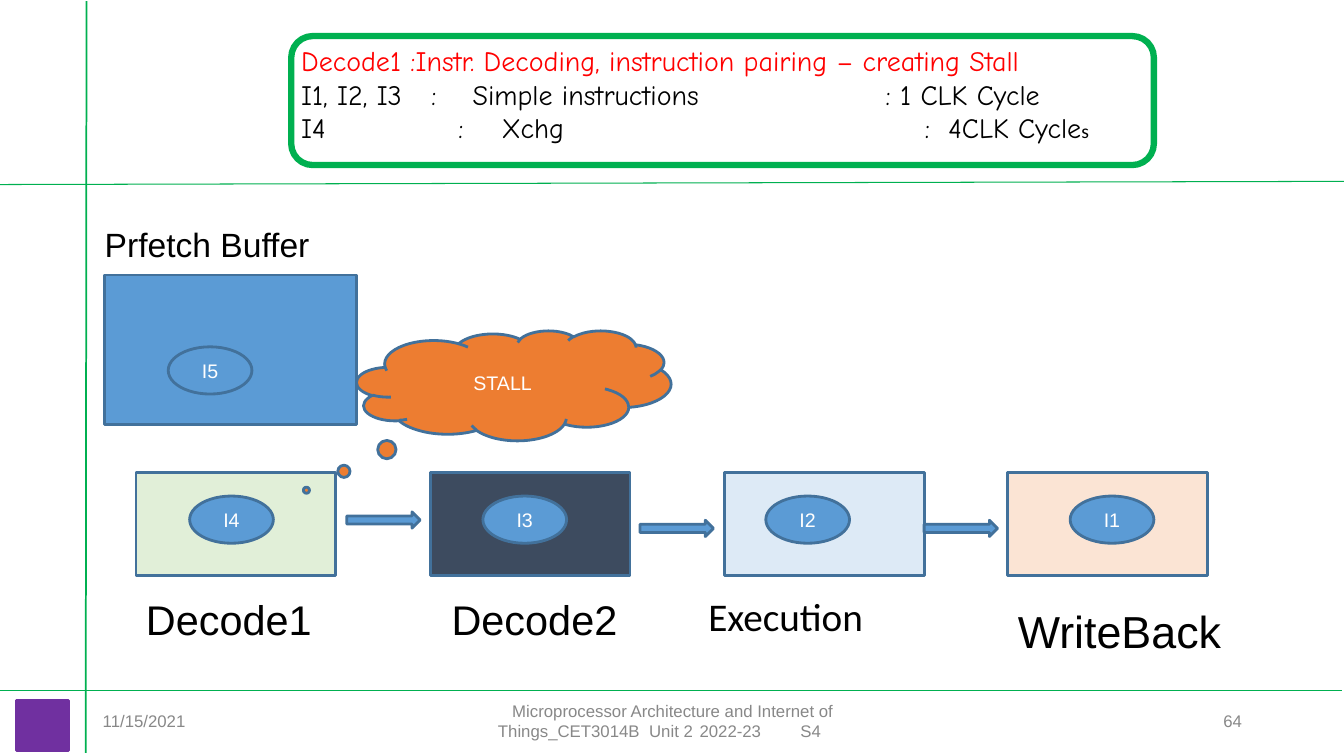
from lxml import etree
from pptx import Presentation
from pptx.dml.color import RGBColor
from pptx.enum.shapes import MSO_CONNECTOR, MSO_SHAPE as SHAPE
from pptx.enum.text import MSO_ANCHOR as ANCHOR, PP_ALIGN as ALIGN
from pptx.oxml.ns import qn
from pptx.util import Cm, Pt

BLUE, EDGE, GREEN, PURPLE = "5B9BD5", "42719B", "00B050", "7030A0"
ORANGE, RED, BLACK, WHITE, GREY = "ED7D31", "FF0000", "000000", "FFFFFF", "888888"


def color(hex_code):
    return RGBColor.from_string(hex_code)


class Deck:
    """Holds the text style and the current slide."""

    def __init__(self, prs, font="Arial"):
        self.font = font
        self.slide = prs.slides.add_slide(prs.slide_layouts[6])

    def run(self, p, text, size, ink=BLACK, font=None):
        r = p.add_run()
        r.text = text
        r.font.size = Pt(size)
        r.font.name = font or self.font
        r.font.color.rgb = color(ink)

    def tabs(self, p, stops):
        tab_list = etree.SubElement(p._p.get_or_add_pPr(), qn("a:tabLst"))
        for stop in stops:
            etree.SubElement(tab_list, qn("a:tab"), pos=str(Cm(stop)), algn="l")

    def shape(self, kind, x, y, w, h, fill=BLUE, edge=EDGE, weight=2, text=None):
        sp = self.slide.shapes.add_shape(kind, Cm(x), Cm(y), Cm(w), Cm(h))
        sp.shadow.inherit = False
        if fill:
            sp.fill.solid()
            sp.fill.fore_color.rgb = color(fill)
        else:
            sp.fill.background()
        sp.line.color.rgb = color(edge)
        sp.line.width = Pt(weight)
        if text:
            tf = sp.text_frame
            tf.vertical_anchor = ANCHOR.MIDDLE
            tf.paragraphs[0].alignment = ALIGN.CENTER
            self.run(tf.paragraphs[0], text, 14, WHITE)
        return sp

    def instruction(self, name, x, y):
        self.shape(SHAPE.OVAL, x, y, 2.11, 1.19, text=name)

    def box(self, x, y, w, h, anchor=ANCHOR.TOP):
        tf = self.slide.shapes.add_textbox(Cm(x), Cm(y), Cm(w), Cm(h)).text_frame
        tf.word_wrap = True
        tf.vertical_anchor = anchor
        return tf

    def label(self, text, x, y, w, h, size, ink=BLACK, font=None,
              anchor=ANCHOR.TOP, align=ALIGN.LEFT, spacing=None):
        p = self.box(x, y, w, h, anchor).paragraphs[0]
        p.alignment = align
        if spacing:
            p.line_spacing = spacing
        self.run(p, text, size, ink, font)

    def line(self, x1, y1, x2, y2, weight):
        ln = self.slide.shapes.add_connector(
            MSO_CONNECTOR.STRAIGHT, Cm(x1), Cm(y1), Cm(x2), Cm(y2))
        ln.line.color.rgb = color(GREEN)
        ln.line.width = Pt(weight)
        etree.SubElement(ln._element.spPr, qn("a:effectLst"))


def main():
    prs = Presentation()
    prs.slide_width, prs.slide_height = Cm(33.87), Cm(19.05)
    deck = Deck(prs)

    # Pipeline stages with the instruction each one holds
    stages = [(3.43, "E1EFD8", "I4", 4.78), (10.85, "3D4B5F", "I3", 12.17),
              (18.26, "DDEAF6", "I2", 19.3), (25.4, "FBE4D4", "I1", 26.97)]
    for x, fill, name, oval_x in stages:
        deck.shape(SHAPE.RECTANGLE, x, 11.91, 5.03, 2.59, fill)
        deck.instruction(name, oval_x, 12.5)
    for x, y in [(8.74, 12.9), (16.13, 13.11), (23.29, 13.11)]:
        deck.shape(SHAPE.RIGHT_ARROW, x, y, 1.85, 0.41)

    # Stage names
    for text, x in [("Decode1", 3.43), ("Decode2", 11.13)]:
        deck.label(text, x, 15.09, 5.28, 1.4, 29.6, spacing=0.8)
    deck.label("Execution", 17.6, 14.81, 4.47, 1.45, 28, font="Calibri")
    deck.label("WriteBack", 25.4, 15.09, 6.1, 1.98, 32)

    # Prefetch buffer and stall
    deck.label("Prfetch Buffer", 2.39, 4.95, 8.46, 2.39, 24, anchor=ANCHOR.MIDDLE)
    deck.shape(SHAPE.RECTANGLE, 2.64, 6.93, 6.35, 3.76)
    deck.instruction("I5", 4.24, 8.74)
    cloud = deck.shape(SHAPE.CLOUD_CALLOUT, 8.99, 8.33, 7.92, 2.77, ORANGE, text="STALL")
    cloud.adjustments[0], cloud.adjustments[1] = -0.66, 0.953

    # Heading
    tf = deck.box(7.34, 0.97, 25.15, 2.82)
    heading = [
        ("Decode1 :Instr. Decoding, instruction pairing – creating Stall", RED, []),
        ("I1, I2, I3\t:\tSimple instructions\t: 1 CLK Cycle", BLACK, [3.28, 4.32, 14.73]),
        ("I4\t:\tXchg\t:\t4CLK Cycle", BLACK, [3.96, 5.05, 15.72, 16.31]),
    ]
    for i, (text, ink, stops) in enumerate(heading):
        p = tf.add_paragraph() if i else tf.paragraphs[0]
        if stops:
            deck.tabs(p, stops)
        deck.run(p, text, 20, ink, "Comic Neue")
    deck.run(p, "s", 14, font="Calibri")

    # Footer
    footer = dict(size=12, ink=GREY, anchor=ANCHOR.MIDDLE)
    deck.label("11/15/2021", 2.34, 17.65, 7.62, 1.02, **footer)
    deck.label("64", 23.93, 17.65, 7.62, 1.02, align=ALIGN.RIGHT, **footer)
    tf = deck.box(11.23, 17.65, 11.43, 1.02, ANCHOR.MIDDLE)
    tf.margin_left = Cm(1.32)
    p = tf.paragraphs[0]
    p._p.get_or_add_pPr().set("indent", str(Cm(0.36)))
    deck.tabs(p, [4.06, 5.84, 8.0])
    deck.run(p, "Microprocessor Architecture and Internet of "
                "Things_CET3014B\tUnit 2\t2022-23\tS4", 12, GREY)

    # Slide frame
    deck.line(0, 4.65, 33.87, 4.57, 0.75)
    deck.shape(SHAPE.RECTANGLE, 0.41, 17.65, 1.32, 1.27, PURPLE, PURPLE)
    deck.line(2.18, 0.03, 2.16, 18.97, 1.25)
    deck.line(0, 17.4, 33.83, 17.4, 1.25)
    deck.shape(SHAPE.ROUNDED_RECTANGLE, 7.34, 0.91, 21.74, 3.25, None, GREEN, 4.5)

    prs.save("out.pptx")


if __name__ == "__main__":
    main()
